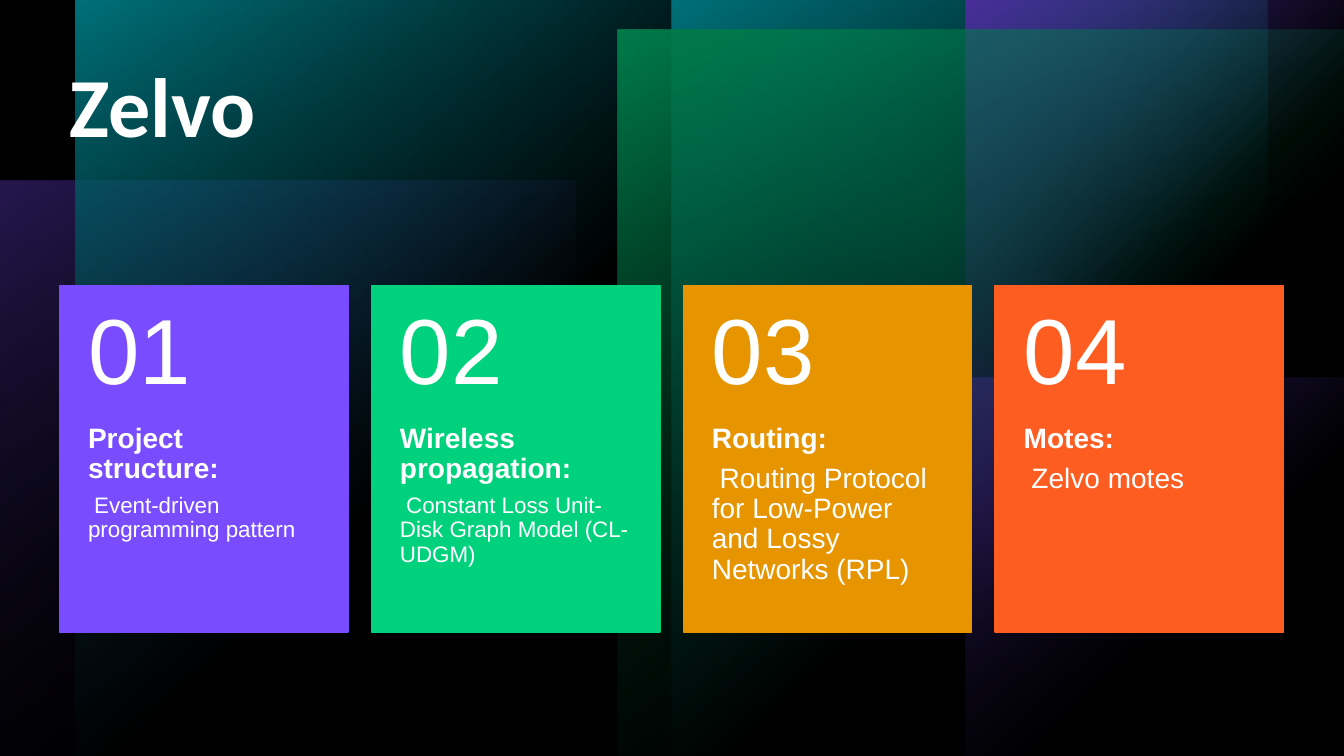
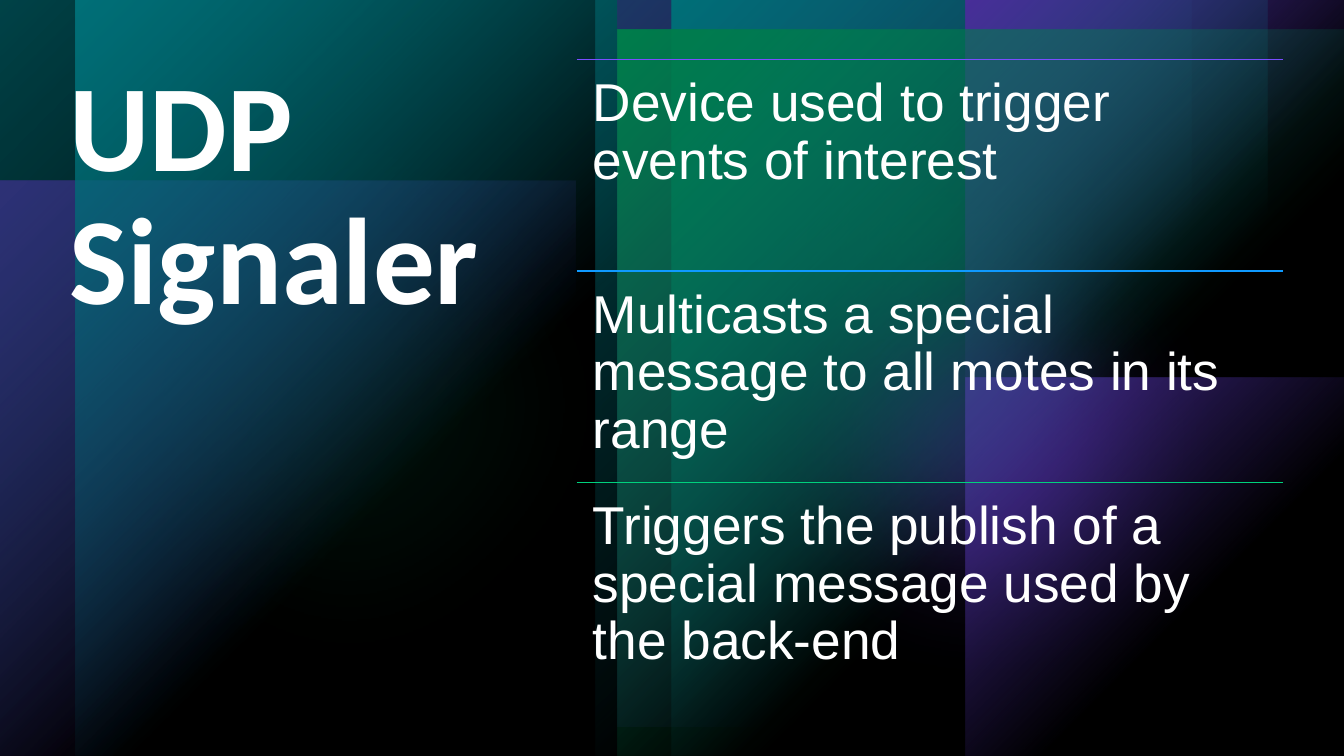
from pptx import Presentation
from pptx.dml.color import RGBColor
from pptx.enum.shapes import MSO_CONNECTOR, MSO_SHAPE
from pptx.enum.text import MSO_ANCHOR
from pptx.oxml import parse_xml
from pptx.oxml.ns import nsdecls, qn
from pptx.oxml.xmlchemy import OxmlElement
from pptx.util import Cm, Pt

BLACK = RGBColor(0x00, 0x00, 0x00)
WHITE = RGBColor(0xFF, 0xFF, 0xFF)
PURPLE = RGBColor(0x79, 0x4D, 0xFF)
GREEN = RGBColor(0x00, 0xD1, 0x7D)
TEAL = RGBColor(0x00, 0xBA, 0xC8)
AMBER = RGBColor(0xE6, 0x95, 0x00)
ORANGE = RGBColor(0xFE, 0x5D, 0x21)
BLUE = RGBColor(0x0F, 0x9A, 0xFF)

TITLE_FONT = "Calibri"
BODY_FONT = "Arial"
SLIDE_WIDTH, SLIDE_HEIGHT = 33.87, 19.05
MARGIN = 1.5
FULL_SLIDE = (0, 0, SLIDE_WIDTH, SLIDE_HEIGHT)

CORNER_GLOW = '<a:path path="circle"><a:fillToRect r="100000" b="100000"/></a:path>'
DOWNWARD = '<a:lin ang="5400000" scaled="0"/>'

CARDS = [
    ("01", "Project structure:", " Event-driven programming pattern", 16, PURPLE),
    ("02", "Wireless propagation:",
     " Constant Loss Unit-Disk Graph Model (CL-UDGM)", 16, GREEN),
    ("03", "Routing:",
     " Routing Protocol for Low-Power and Lossy Networks (RPL)", 20, AMBER),
    ("04", "Motes:", " Zelvo motes", 20, ORANGE),
]
SIGNALER_POINTS = [
    ("Device used to trigger events of interest", PURPLE),
    ("Multicasts a special message to all motes in its range", BLUE),
    ("Triggers the publish of a special message used by the back-end", GREEN),
]


def add_block(slide, box, color, preset=MSO_SHAPE.RECTANGLE):
    shape = slide.shapes.add_shape(preset, *map(Cm, box))
    shape.shadow.inherit = False
    shape.fill.solid()
    shape.fill.fore_color.rgb = color
    shape.line.fill.background()
    return shape


def color_xml(color, opacity):
    return f'<a:srgbClr val="{color}"><a:alpha val="{opacity * 1000}"/></a:srgbClr>'


def replace_fill(shape, fill_xml):
    properties = shape._element.spPr
    properties.replace(properties.find(qn("a:solidFill")), parse_xml(fill_xml))


def add_translucent(slide, box, color, opacity, preset=MSO_SHAPE.RECTANGLE):
    shape = add_block(slide, box, color, preset)
    replace_fill(shape, f'<a:solidFill {nsdecls("a")}>{color_xml(color, opacity)}</a:solidFill>')
    return shape


def add_gradient(slide, box, color, start, end=(60, 0), direction=CORNER_GLOW):
    stops = "".join(
        f'<a:gs pos="{position * 1000}">{color_xml(color, opacity)}</a:gs>'
        for position, opacity in ((0, start), end)
    )
    shape = add_block(slide, box, color)
    replace_fill(shape, f'<a:gradFill {nsdecls("a")} rotWithShape="1">'
                        f'<a:gsLst>{stops}</a:gsLst>{direction}</a:gradFill>')


def add_soft_circle(slide, left, top, diameter, color, opacity):
    shape = add_translucent(slide, (left, top, diameter, diameter), color, opacity, MSO_SHAPE.OVAL)
    soft_edge = OxmlElement("a:softEdge")
    soft_edge.set("rad", str(Pt(100)))
    shape._element.spPr.find(qn("a:effectLst")).append(soft_edge)


def add_text(slide, box, lines, font, insets, anchor=MSO_ANCHOR.TOP, space_after=0):
    frame = slide.shapes.add_textbox(*map(Cm, box)).text_frame
    frame.word_wrap = True
    frame.vertical_anchor = anchor
    frame.margin_left = frame.margin_right = Cm(insets[0])
    frame.margin_top, frame.margin_bottom = Cm(insets[1]), Cm(insets[2])
    for index, (text, size, bold) in enumerate(lines):
        paragraph = frame.add_paragraph() if index else frame.paragraphs[0]
        paragraph.text = text
        paragraph.line_spacing = 0.9
        paragraph.space_after = Pt(space_after)
        paragraph.font.name = font
        paragraph.font.size = Pt(size)
        paragraph.font.bold = bold
        paragraph.font.color.rgb = WHITE


def add_title(slide, text, size, width, height):
    add_text(slide, (MARGIN, MARGIN, width, height), [(text, size, True)],
             TITLE_FONT, (0.25, 0.13, 0.13))


def add_base_glow(slide):
    add_gradient(slide, (0, 4.57, 14.5, 14.5), PURPLE, 60)
    add_soft_circle(slide, 15.98, 1.09, 12, GREEN, 60)
    add_soft_circle(slide, 0, 1.42, 17.63, GREEN, 20)
    for left in (0, 15.01):
        add_gradient(slide, (left, 0, 15.01, SLIDE_HEIGHT), TEAL, 100)
    add_gradient(slide, (15.56, 0, 18.31, 18.31), PURPLE, 100)
    add_translucent(slide, FULL_SLIDE, BLACK, 40)


def add_color_panels(slide):
    add_gradient(slide, (0, 4.55, 14.5, 14.5), PURPLE, 60)
    add_soft_circle(slide, 17.73, 0, 12, GREEN, 96)
    add_soft_circle(slide, 17, 3.43, 15.3, PURPLE, 60)
    for left in (16.92, 1.91):
        add_gradient(slide, (left, 0, 15.01, SLIDE_HEIGHT), TEAL, 100)
    for top in (9.52, 0):
        add_gradient(slide, (24.34, top, 9.53, 9.53), PURPLE, 100)
    add_gradient(slide, (15.56, 0.74, 18.31, 18.31), GREEN, 100)


def add_card(slide, left, number, heading, detail, detail_size, color):
    top, width, number_height, body_height = 7.2, 7.27, 3.49, 5.24
    card = add_block(slide, (left, top, width, number_height + body_height), color)
    card.line.color.rgb = color
    card.line.width = Pt(1)
    add_text(slide, (left, top + number_height, width, body_height),
             [(heading, 20, True), (detail, detail_size, False)],
             BODY_FONT, (0.72, 0, 0.91), space_after=7)
    add_text(slide, (left, top, width, number_height), [(number, 66, False)],
             BODY_FONT, (0.72, 0.46, 0.46), MSO_ANCHOR.MIDDLE)


def add_ruled_point(slide, top, text, color):
    left, width, height = 14.53, 17.8, 5.33
    rule = slide.shapes.add_connector(
        MSO_CONNECTOR.STRAIGHT, Cm(left), Cm(top), Cm(left + width), Cm(top))
    rule.line.color.rgb = color
    rule.line.width = Pt(1)
    rule._element.spPr.append(OxmlElement("a:effectLst"))
    add_text(slide, (left, top, width, height), [(text, 38, False)],
             BODY_FONT, (0.41, 0.41, 0.41))


def add_slide(presentation):
    slide = presentation.slides.add_slide(presentation.slide_layouts[6])
    slide.background.fill.solid()
    slide.background.fill.fore_color.rgb = BLACK
    return slide


def build_simulator(presentation):
    slide = add_slide(presentation)
    add_color_panels(slide)
    add_gradient(slide, FULL_SLIDE, BLACK, 40, (100, 80), DOWNWARD)
    add_title(slide, "Zelvo", 60, 30.76, 2.92)
    for index, card in enumerate(CARDS):
        add_card(slide, MARGIN + index * 7.86, *card)


def build_signaler(presentation):
    slide = add_slide(presentation)
    add_base_glow(slide)
    add_color_panels(slide)
    add_translucent(slide, FULL_SLIDE, BLACK, 40)
    add_title(slide, "UDP Signaler", 88, 12.5, 16)
    for index, point in enumerate(SIGNALER_POINTS):
        add_ruled_point(slide, MARGIN + index * 5.33, *point)


def main():
    presentation = Presentation()
    presentation.slide_width = Cm(SLIDE_WIDTH)
    presentation.slide_height = Cm(SLIDE_HEIGHT)
    build_simulator(presentation)
    build_signaler(presentation)
    presentation.save("out.pptx")


if __name__ == "__main__":
    main()
